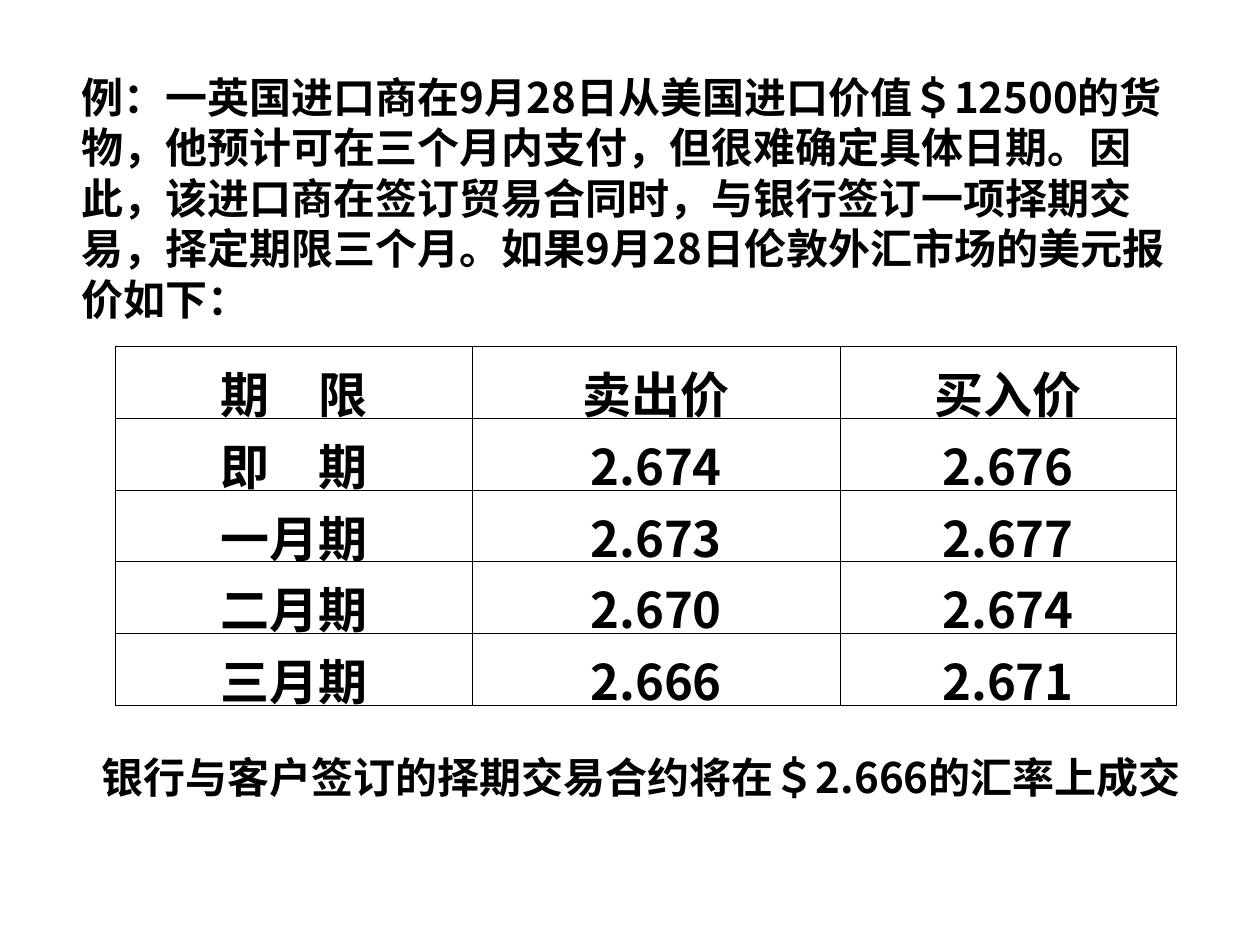
from lxml import etree
from pptx import Presentation
from pptx.dml.color import RGBColor
from pptx.enum import text as t
from pptx.oxml import ns
from pptx.util import Pt

BLACK = RGBColor(0, 0, 0)
FONT = "Noto Sans CJK SC"

INTRO = [
    "例：一英国进口商在9月28日从美国进口价值＄12500的货",
    "物，他预计可在三个月内支付，但很难确定具体日期。因",
    "此，该进口商在签订贸易合同时，与银行签订一项择期交",
    "易，择定期限三个月。如果9月28日伦敦外汇市场的美元报",
    "价如下：",
]
RATES = [
    ("期　限", "卖出价", "买入价"),
    ("即　期", "2.674", "2.676"),
    ("一月期", "2.673", "2.677"),
    ("二月期", "2.670", "2.674"),
    ("三月期", "2.666", "2.671"),
]
RESULT = "银行与客户签订的择期交易合约将在＄2.666的汇率上成交"


class Page:
    def __init__(self, deck):
        self.slide = deck.slides.add_slide(deck.slide_layouts[6])

    def style(self, frame, size):
        for para in frame.paragraphs:
            for run in para.runs:
                font = run.font
                font.name, font.size, font.bold = FONT, Pt(size), True
                font.color.rgb = BLACK
                east = etree.SubElement(run._r.get_or_add_rPr(), ns.qn("a:ea"))
                east.set("typeface", FONT)

    def text(self, lines, left, top, width, height, size=24):
        box = self.slide.shapes.add_textbox(
            Pt(left), Pt(top), Pt(width), Pt(height))
        frame = box.text_frame
        frame.text = "\n".join(lines)
        frame.word_wrap = False
        frame.auto_size = t.MSO_AUTO_SIZE.SHAPE_TO_FIT_TEXT
        self.style(frame, size)

    def border(self, cell):
        props = cell._tc.get_or_add_tcPr()
        for side in ("lnL", "lnR", "lnT", "lnB"):
            line = etree.SubElement(props, ns.qn("a:" + side))
            line.set("w", str(Pt(0.45)))
            fill = etree.SubElement(line, ns.qn("a:solidFill"))
            etree.SubElement(fill, ns.qn("a:srgbClr")).set("val", str(BLACK))

    def table(self, rows, left, top, widths, height, size=28):
        grid = self.slide.shapes.add_table(
            len(rows), len(widths), Pt(left), Pt(top),
            Pt(sum(widths)), Pt(height * len(rows))).table
        grid.first_row = grid.horz_banding = False
        for col, width in zip(grid.columns, widths):
            col.width = Pt(width)
        for r, row in enumerate(rows):
            grid.rows[r].height = Pt(height)
            for c, word in enumerate(row):
                cell = grid.cell(r, c)
                cell.margin_top, cell.margin_bottom = Pt(6), Pt(1)
                self.border(cell)
                cell.fill.background()
                cell.text_frame.text = word
                cell.text_frame.paragraphs[0].alignment = t.PP_ALIGN.CENTER
                self.style(cell.text_frame, size)


def main():
    deck = Presentation()
    deck.slide_width, deck.slide_height = Pt(720), Pt(540)
    page = Page(deck)
    page.text(INTRO, 39.6, 37.4, 666, 208.8)
    page.table(RATES, 66, 198, (204, 210, 192), 41)
    page.text([RESULT], 51.1, 426.2, 642.2, 36)
    deck.save("out.pptx")


if __name__ == "__main__":
    main()
